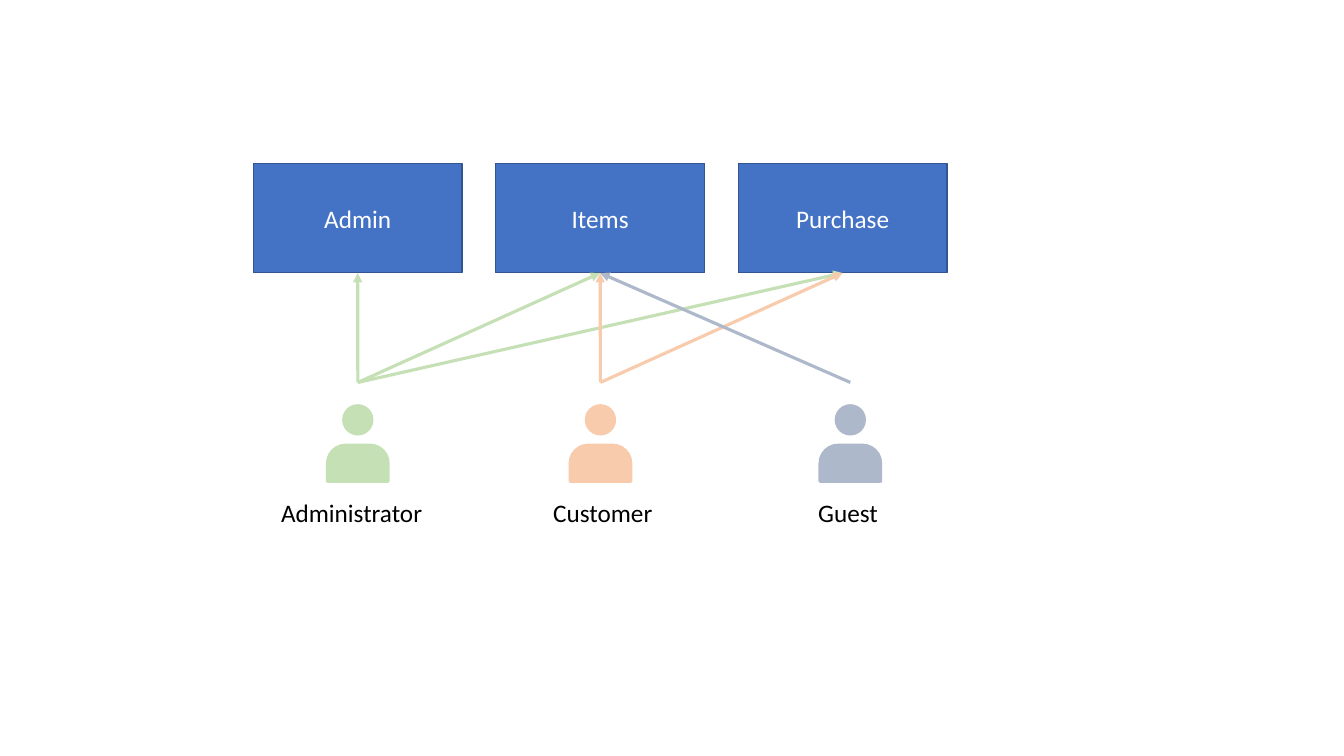
from lxml.etree import SubElement
from pptx import Presentation
from pptx.dml.color import RGBColor
from pptx.enum.shapes import MSO_CONNECTOR as CONNECTOR, MSO_SHAPE as SHAPE
from pptx.enum.text import MSO_ANCHOR as ANCHOR, MSO_AUTO_SIZE as AUTO_SIZE, PP_ALIGN as ALIGN
from pptx.oxml.ns import qn
from pptx.util import Pt

# Content: areas, then roles with colour, centre, label left and areas they reach
AREAS = ["Admin", "Items", "Purchase"]
ROLES = [
    ("Administrator", "C5E0B4", 255.6, 193.7, ["Admin", "Items", "Purchase"]),
    ("Customer", "F8CBAD", 428.9, 388.1, ["Items", "Purchase"]),
    ("Guest", "ADB9CA", 607.4, 577.4, ["Items"]),
]

# Layout in points
BOX_LEFT, BOX_TOP, BOX_WIDTH, BOX_HEIGHT, BOX_PITCH = 180.9, 116.7, 149.2, 78, 173.2
ARROW_START, ARROW_END = 273.2, 195
HEAD_TOP, HEAD_SIZE = 288.7, 22.4
BODY_TOP, BODY_WIDTH, BODY_HEIGHT = 316.9, 45.5, 28
LABEL_TOP, LABEL_WIDTH, LABEL_HEIGHT = 351.5, 127.4, 29
TEXT_FORMAT = {"name": "Calibri", "size": Pt(18)}


def color(value):
    return RGBColor.from_string(value)


def add_shape(kind, left, top, width, height, fill):
    shape = slide.shapes.add_shape(kind, Pt(left), Pt(top), Pt(width), Pt(height))
    shape.shadow.inherit = False
    shape.fill.solid()
    shape.fill.fore_color.rgb = color(fill)
    shape.line.fill.background()
    return shape


def write(shape, text, text_color, align=None):
    paragraph = shape.text_frame.paragraphs[0]
    paragraph.alignment = align
    run = paragraph.add_run()
    run.text = text
    for name, value in TEXT_FORMAT.items():
        setattr(run.font, name, value)
    run.font.color.rgb = color(text_color)


def add_arrow(start_x, end_x, line_color):
    arrow = slide.shapes.add_connector(
        CONNECTOR.STRAIGHT, Pt(start_x), Pt(ARROW_START), Pt(end_x), Pt(ARROW_END))
    arrow.line.color.rgb = color(line_color)
    arrow.line.width = Pt(2.25)
    SubElement(arrow.line._get_or_add_ln(), qn("a:tailEnd"), type="triangle")
    SubElement(arrow._element.spPr, qn("a:effectLst"))


presentation = Presentation()
presentation.slide_width, presentation.slide_height = Pt(960), Pt(540)
slide = presentation.slides.add_slide(presentation.slide_layouts[6])

# Area boxes
area_centers = {}
for index, area in enumerate(AREAS):
    left = BOX_LEFT + index * BOX_PITCH
    area_centers[area] = left + BOX_WIDTH / 2
    box = add_shape(SHAPE.RECTANGLE, left, BOX_TOP, BOX_WIDTH, BOX_HEIGHT, "4472C4")
    box.line.color.rgb = color("325491")
    box.line.width = Pt(1)
    box.text_frame.vertical_anchor = ANCHOR.MIDDLE
    write(box, area, "FFFFFF", ALIGN.CENTER)

# People and their labels
for role, role_color, center, label_left, _ in ROLES:
    body = add_shape(SHAPE.ROUND_2_SAME_RECTANGLE, center - BODY_WIDTH / 2, BODY_TOP,
                     BODY_WIDTH, BODY_HEIGHT, role_color)
    body.adjustments[0], body.adjustments[1] = 0.5, 0.05
    add_shape(SHAPE.OVAL, center - HEAD_SIZE / 2, HEAD_TOP, HEAD_SIZE, HEAD_SIZE, role_color)
    label = slide.shapes.add_textbox(
        Pt(label_left), Pt(LABEL_TOP), Pt(LABEL_WIDTH), Pt(LABEL_HEIGHT))
    label.text_frame.word_wrap = True
    label.text_frame.auto_size = AUTO_SIZE.SHAPE_TO_FIT_TEXT
    write(label, role, "000000")

# Access arrows
for _, role_color, center, _, reached in ROLES:
    for area in reached:
        add_arrow(center, area_centers[area], role_color)

presentation.save("out.pptx")
